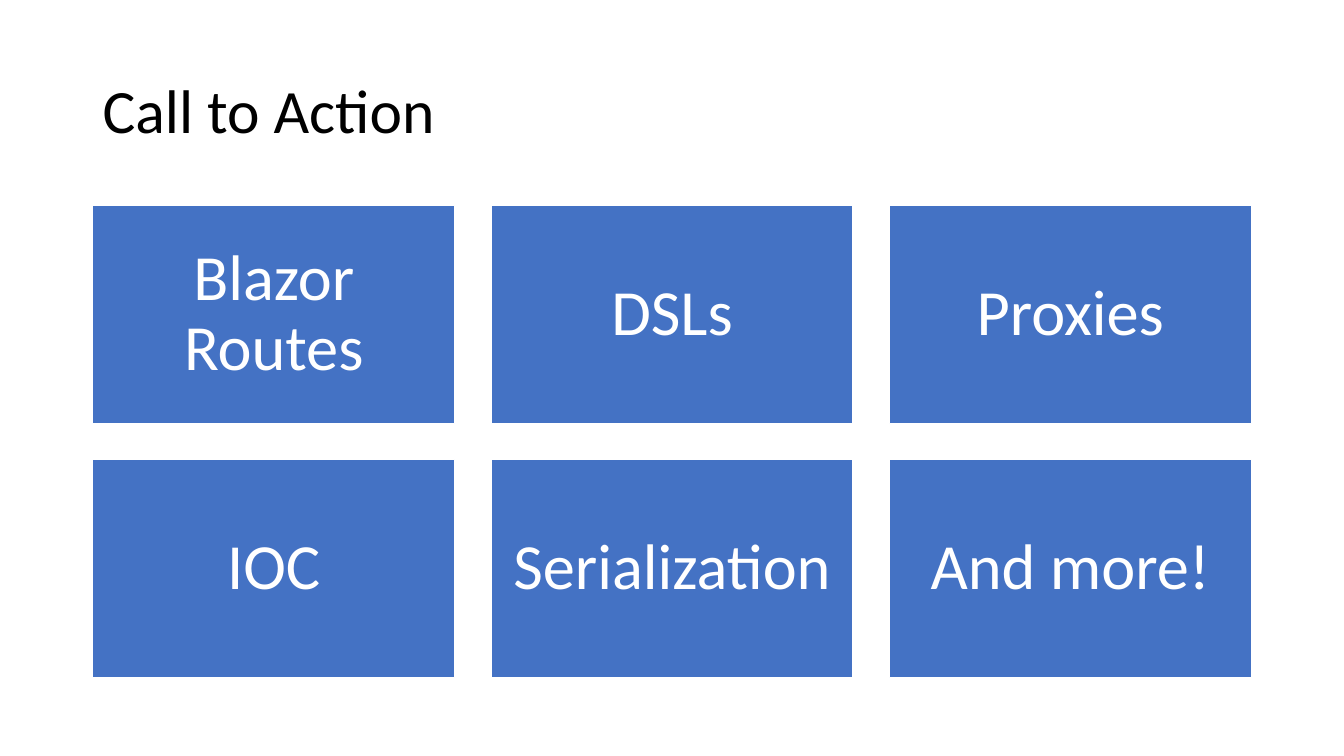
"""Build the Call to Action slide: a title above a grid of six topic tiles."""
from pptx import Presentation
from pptx.dml.color import RGBColor
from pptx.enum.shapes import MSO_SHAPE
from pptx.enum.text import MSO_ANCHOR, PP_ALIGN
from pptx.util import Inches, Pt

RECTANGLE = MSO_SHAPE.RECTANGLE
MIDDLE = MSO_ANCHOR.MIDDLE
LEFT, CENTER = PP_ALIGN.LEFT, PP_ALIGN.CENTER
WHITE, BLACK, BLUE = "FFFFFF", "000000", "4472C4"


def color(hex_code):
    return RGBColor.from_string(hex_code)


def write(shape, text, size, ink, align=LEFT, inset_x=0.1, inset_y=0.05):
    frame = shape.text_frame
    frame.word_wrap = True
    frame.vertical_anchor = MIDDLE
    frame.margin_left = frame.margin_right = Inches(inset_x)
    frame.margin_top = frame.margin_bottom = Inches(inset_y)
    paragraph = frame.paragraphs[0]
    paragraph.alignment = align
    paragraph.line_spacing = 0.9
    run = paragraph.add_run()
    run.text = text
    run.font.name = "Calibri"
    run.font.size = Pt(size)
    run.font.color.rgb = color(ink)


deck = Presentation()
deck.slide_width, deck.slide_height = Inches(13.33), Inches(7.5)
slide = deck.slides.add_slide(deck.slide_layouts[6])

margin = 0.92
title = slide.shapes.add_textbox(Inches(margin), Inches(0.4), Inches(11.5), Inches(1.45))
write(title, "Call to Action", 44, BLACK)

topics = ["Blazor Routes", "DSLs", "Proxies", "IOC", "Serialization", "And more!"]
columns = 3
grid_top = 2.04
tile_width, tile_height, gap = 3.59, 2.16, 0.36

for index, topic in enumerate(topics):
    row, column = divmod(index, columns)
    tile = slide.shapes.add_shape(
        RECTANGLE,
        Inches(margin + column * (tile_width + gap)),
        Inches(grid_top + row * (tile_height + gap)),
        Inches(tile_width),
        Inches(tile_height),
    )
    tile.shadow.inherit = False
    tile.fill.solid()
    tile.fill.fore_color.rgb = color(BLUE)
    tile.line.color.rgb = color(WHITE)
    tile.line.width = Pt(1)
    write(tile, topic, 46, WHITE, align=CENTER, inset_x=0.19, inset_y=0.19)

deck.save("out.pptx")
